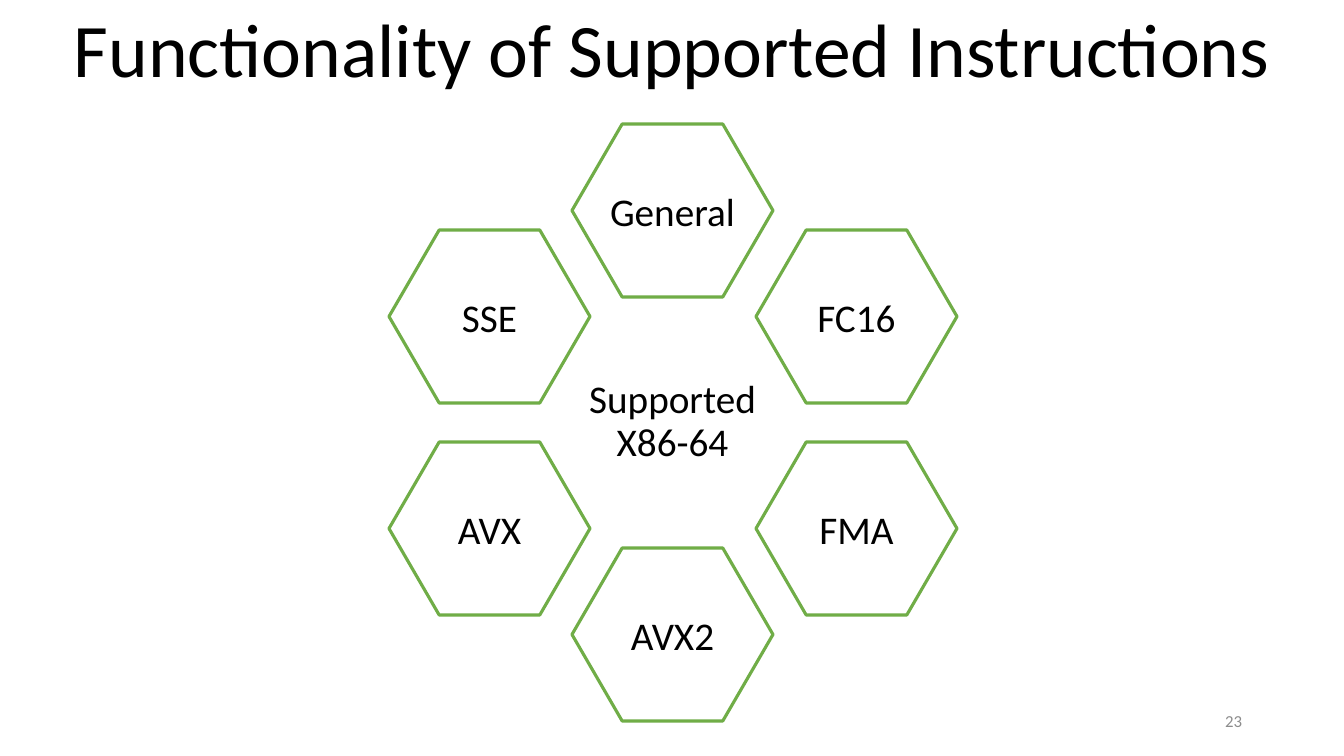
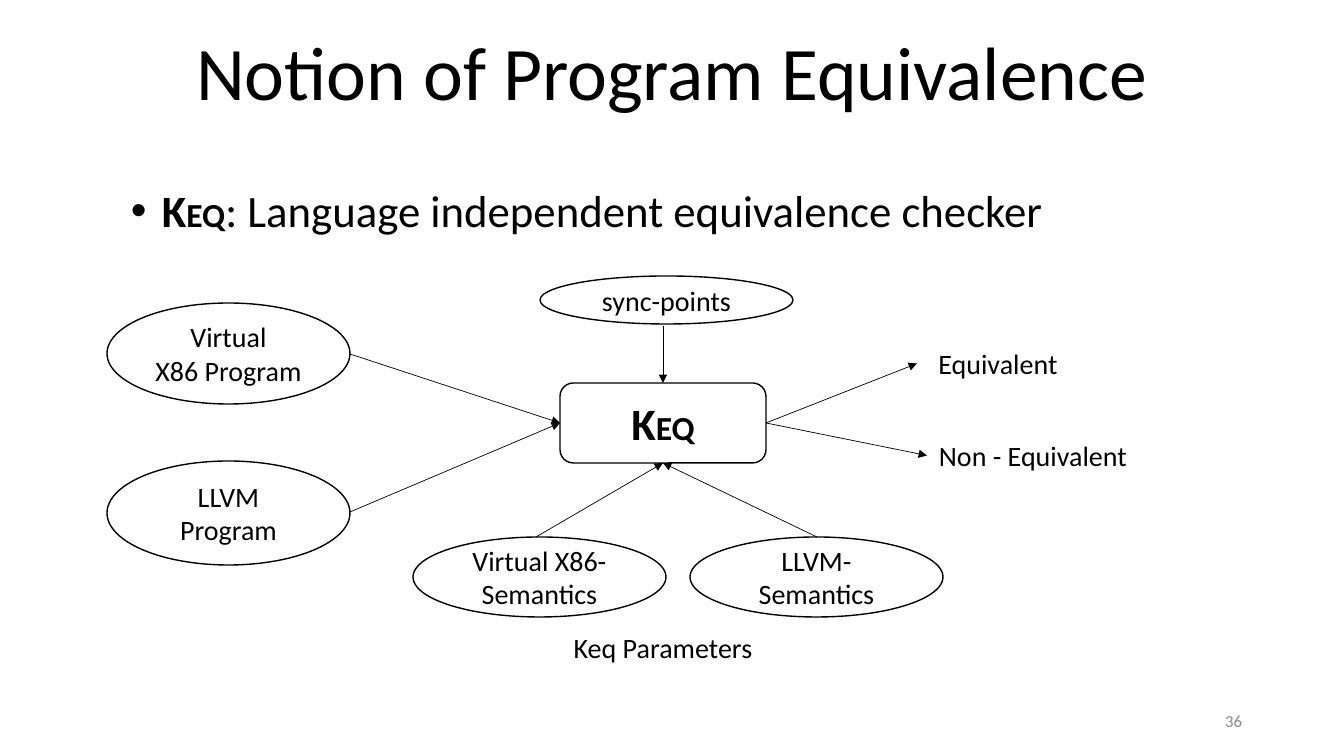
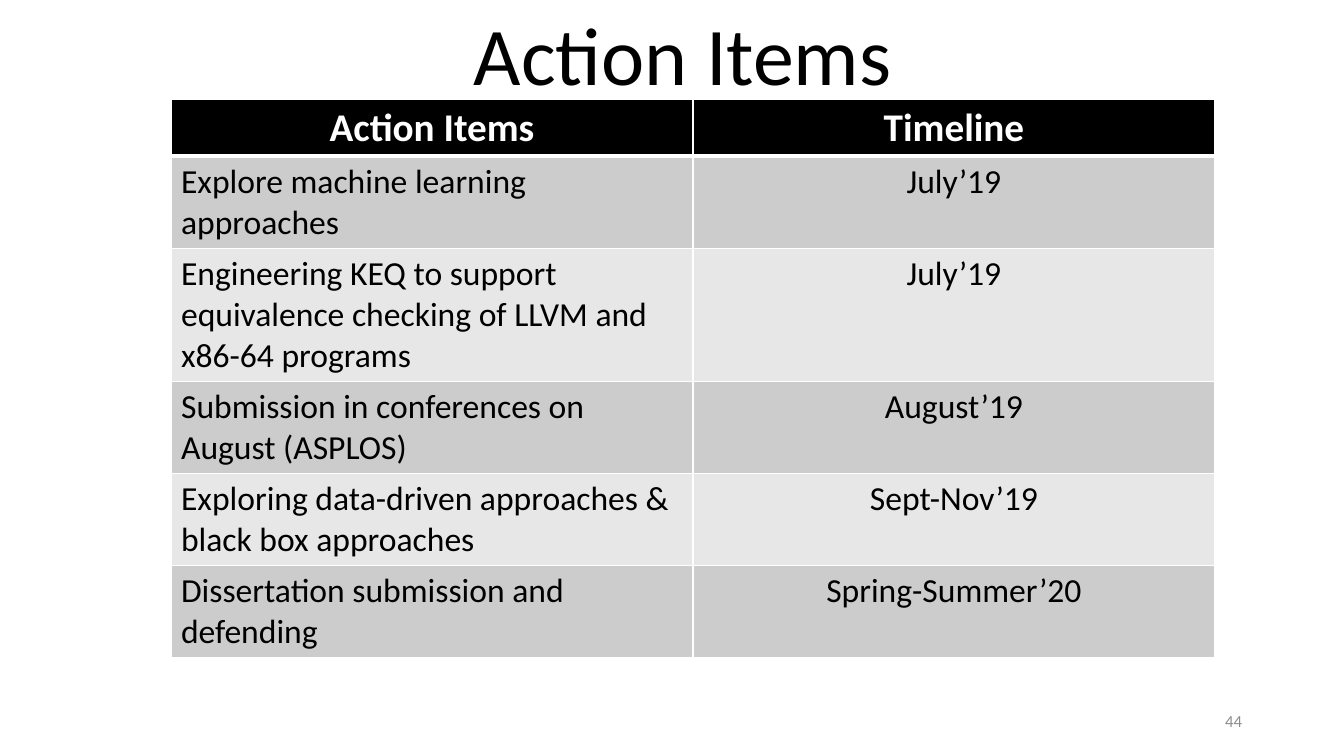
from math import cos, radians, sin

from lxml.etree import SubElement
from pptx import Presentation
from pptx.dml.color import RGBColor
from pptx.enum.shapes import MSO_CONNECTOR, MSO_SHAPE
from pptx.enum.text import MSO_ANCHOR, PP_ALIGN
from pptx.oxml.ns import qn
from pptx.util import Pt

EMU_PER_PX = 914400 / 100.8
TOP, LEFT, BOTTOM, RIGHT = range(4)


def px(*lengths):
    """Turn pixel lengths into a list of EMU."""
    return [round(length * EMU_PER_PX) for length in lengths]


def rgb(value):
    """Turn a hex string into a colour."""
    return RGBColor.from_string(value)


class Deck:
    """Hold the shared style and the current slide."""

    FONT = "Calibri"
    INK = "000000"
    PAPER = "FFFFFF"
    MUTED = "8C8C8C"
    GREEN = "70AD47"
    BANDS = ("CCCCCC", "E7E7E7")

    def __init__(self):
        """Start an empty wide presentation."""
        self.presentation = Presentation()
        self.presentation.slide_width, self.presentation.slide_height = px(1344, 756)

    def new_slide(self, title, title_box, number, title_size=54):
        """Add a slide with its title and page number."""
        layout = self.presentation.slide_layouts[6]
        self.shapes = self.presentation.slides.add_slide(layout).shapes
        self.text(title_box, [title], title_size, anchor=MSO_ANCHOR.BOTTOM, spacing=0.9)
        self.text((950, 701, 302, 40), [str(number)], 12, self.MUTED, PP_ALIGN.RIGHT)

    def fill_text(self, frame, lines, size, color=INK, align=PP_ALIGN.CENTER,
                  bold=False, spacing=None):
        """Fill a text frame; a line is a string or a list of (text, size, bold)."""
        for index, line in enumerate(lines):
            paragraph = frame.add_paragraph() if index else frame.paragraphs[0]
            paragraph.alignment = align
            if spacing:
                paragraph.line_spacing = spacing
            paragraph.font.name = self.FONT
            paragraph.font.color.rgb = rgb(color)
            if isinstance(line, str):
                paragraph.font.size = Pt(size)
                paragraph.font.bold = bold
                paragraph.add_run().text = line
                continue
            for words, run_size, run_bold in line:
                run = paragraph.add_run()
                run.text = words
                run.font.size = Pt(run_size)
                run.font.bold = run_bold

    def text(self, box, lines, size, color=INK, align=PP_ALIGN.CENTER,
             anchor=MSO_ANCHOR.MIDDLE, spacing=None):
        """Add a wrapping text box."""
        frame = self.shapes.add_textbox(*px(*box)).text_frame
        frame.word_wrap = True
        frame.vertical_anchor = anchor
        self.fill_text(frame, lines, size, color, align, spacing=spacing)
        return frame

    def bullet(self, box, runs, indent):
        """Add a text box with one bulleted line."""
        frame = self.shapes.add_textbox(*px(*box)).text_frame
        frame.word_wrap = True
        properties = frame.paragraphs[0]._p.get_or_add_pPr()
        margin, = px(indent)
        properties.set("marL", str(margin))
        properties.set("indent", str(-margin))
        SubElement(properties, qn("a:buFont")).set("typeface", "Arial")
        SubElement(properties, qn("a:buChar")).set("char", "•")
        self.fill_text(frame, [runs], 32, align=PP_ALIGN.LEFT)

    def node(self, kind, box, lines, size=20, line=INK, width=1, wrap=True):
        """Add a preset shape with centred text."""
        shape = self.shapes.add_shape(kind, *px(*box))
        shape.shadow.inherit = False
        shape.fill.solid()
        shape.fill.fore_color.rgb = rgb(self.PAPER)
        if line:
            shape.line.color.rgb = rgb(line)
            shape.line.width = Pt(width)
        else:
            shape.line.fill.background()
        shape.text_frame.word_wrap = wrap
        shape.text_frame.vertical_anchor = MSO_ANCHOR.MIDDLE
        self.fill_text(shape.text_frame, lines, size)
        return shape

    def label(self, box, words):
        """Add a rectangle without outline."""
        return self.node(MSO_SHAPE.RECTANGLE, box, [words], line=None)

    def arrow(self, start, end):
        """Add an arrow; each end is a point or a (shape, side) pair."""
        joined_start, joined_end = (not isinstance(tip[0], int) for tip in (start, end))
        begin = (0, 0) if joined_start else start
        finish = (0, 0) if joined_end else end
        line = self.shapes.add_connector(MSO_CONNECTOR.STRAIGHT, *px(*begin, *finish))
        if joined_start:
            line.begin_connect(*start)
        if joined_end:
            line.end_connect(*end)
        line.line.color.rgb = rgb(self.INK)
        line.line.width = Pt(0.5)
        SubElement(line.line._get_or_add_ln(), qn("a:tailEnd")).set("type", "triangle")
        SubElement(line._element.spPr, qn("a:effectLst"))

    def border(self, cell, top, bottom):
        """Draw the paper-coloured borders of a table cell."""
        for side, width in (("L", 1), ("R", 1), ("T", top), ("B", bottom)):
            edge = SubElement(cell._tc.get_or_add_tcPr(), qn(f"a:ln{side}"))
            edge.set("w", str(Pt(width)))
            fill = SubElement(edge, qn("a:solidFill"))
            SubElement(fill, qn("a:srgbClr")).set("val", self.PAPER)

    def table(self, left, top, column_width, heights, rows):
        """Add a table with a dark header and banded rows."""
        columns = len(rows[0])
        box = px(left, top, column_width * columns, sum(heights))
        table = self.shapes.add_table(len(rows), columns, *box).table
        for r, (height, row) in enumerate(zip(heights, rows)):
            table.rows[r].height, = px(height)
            header = r == 0
            for c, words in enumerate(row):
                cell = table.cell(r, c)
                self.border(cell, 3 if r == 1 else 1, 3 if header else 1)
                cell.fill.solid()
                cell.fill.fore_color.rgb = rgb(self.INK if header else self.BANDS[(r - 1) % 2])
                centred = header or c > 0
                self.fill_text(cell.text_frame, [words], 28 if header else 24,
                               self.PAPER if header else self.INK,
                               PP_ALIGN.CENTER if centred else PP_ALIGN.LEFT, header)


def instructions_slide(deck):
    """Show the instruction families in a ring."""
    deck.new_slide("Functionality of Supported Instructions", (54, 21, 1236, 78), 23)
    center_x, center_y, radius, width, height = 673, 422, 212, 201, 173
    hub = deck.text((583, 345, 179, 155), ["Supported X86-64"], 28, spacing=0.9)
    hub.margin_left, hub.margin_right = px(4, 4)
    families = ["General", "FC16", "FMA", "AVX2", "AVX", "SSE"]
    for index, family in enumerate(families):
        angle = radians(60 * index)
        left = round(center_x + radius * sin(angle) - width / 2)
        top = round(center_y - radius * cos(angle) - height / 2)
        hexagon = deck.node(MSO_SHAPE.HEXAGON, (left, top, width, height), [family],
                            28, deck.GREEN, 2.25, wrap=False)
        hexagon.adjustments[0] = 0.29


def equivalence_slide(deck):
    """Show what the checker takes in and gives out."""
    deck.new_slide("Notion of Program Equivalence", (168, 10, 1008, 112), 36)
    name = [("K", 32, True), ("EQ", 24, True)]
    claim = (": Language independent equivalence checker", 32, False)
    deck.bullet((121, 178, 1102, 65), name + [claim], 31)

    keq = deck.node(MSO_SHAPE.ROUNDED_RECTANGLE, (560, 383, 206, 80), [name])
    equivalent = deck.label((917, 338, 162, 51), "Equivalent")
    non_equivalent = deck.label((927, 430, 212, 51), "Non - Equivalent")
    deck.label((555, 628, 216, 39), "Keq Parameters")

    inputs = [
        ((107, 303, 243, 101), ["Virtual", "X86 Program"], (350, 354), LEFT),
        ((107, 461, 243, 104), ["LLVM Program"], (350, 512), LEFT),
        ((413, 537, 253, 80), ["Virtual X86-Semantics"], (536, 537), BOTTOM),
        ((690, 537, 253, 80), ["LLVM-Semantics"], (817, 537), BOTTOM),
        ((540, 276, 253, 48), ["sync-points"], (663, 326), TOP),
    ]
    for box, lines, start, side in inputs:
        deck.node(MSO_SHAPE.OVAL, box, lines)
        deck.arrow(start, (keq, side))
    for verdict in (equivalent, non_equivalent):
        deck.arrow((keq, RIGHT), (verdict, LEFT))


def action_items_slide(deck):
    """List the planned work and its dates."""
    deck.new_slide("Action Items", (179, 7, 1008, 101), 44, 58.5)
    deck.table(171, 99, 522, [57, 92, 133, 92, 92, 92], [
        ("Action Items", "Timeline"),
        ("Explore machine learning approaches", "July’19"),
        ("Engineering KEQ to support equivalence checking of LLVM and x86-64 programs",
         "July’19"),
        ("Submission in conferences on August (ASPLOS)", "August’19"),
        ("Exploring data-driven approaches & black box approaches", "Sept-Nov’19"),
        ("Dissertation submission and defending", "Spring-Summer’20"),
    ])


def main():
    """Build and save the deck."""
    deck = Deck()
    instructions_slide(deck)
    equivalence_slide(deck)
    action_items_slide(deck)
    deck.presentation.save("out.pptx")


if __name__ == "__main__":
    main()
